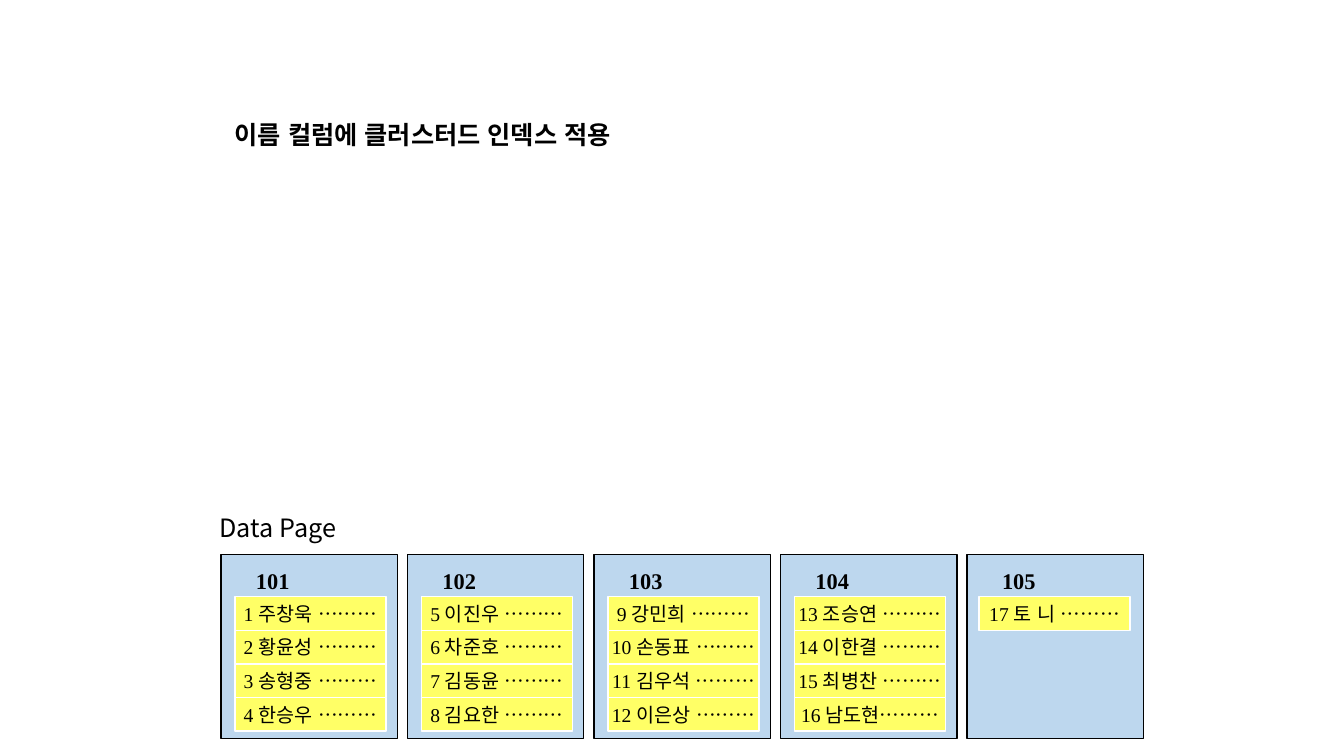
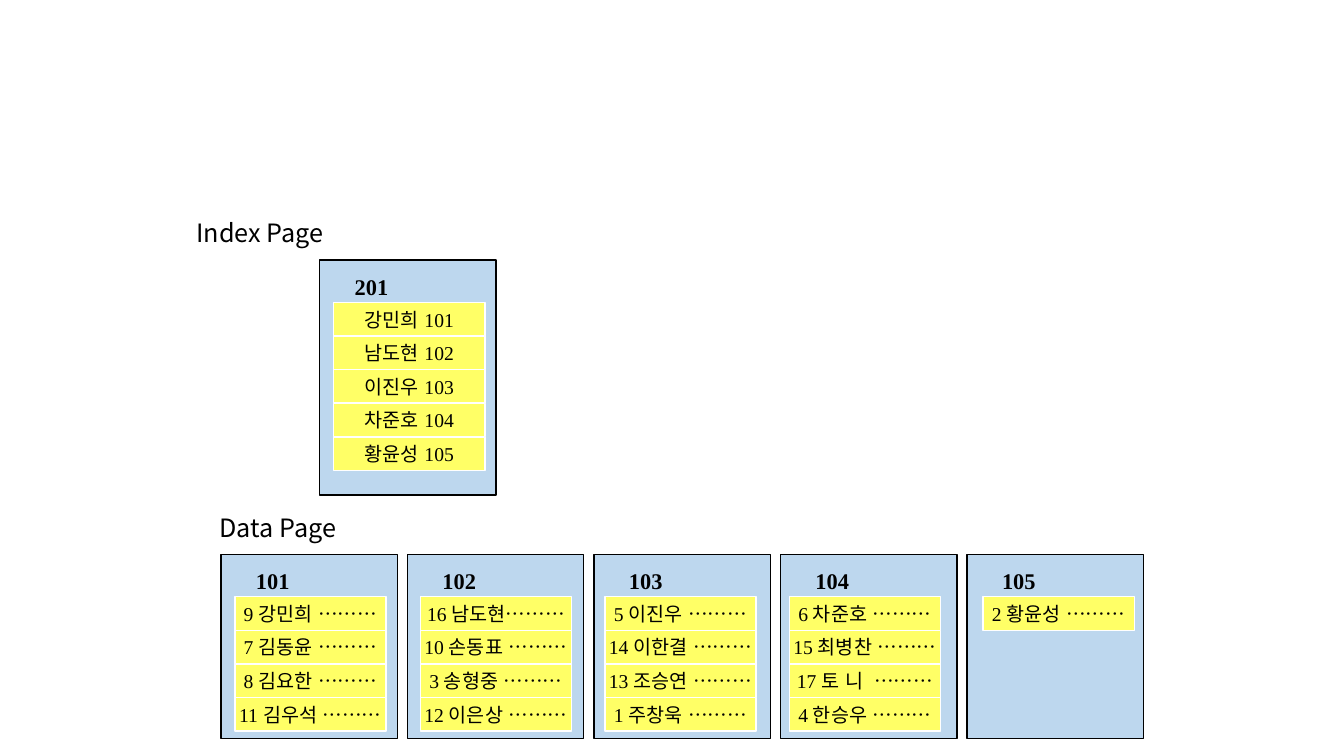
from pptx import Presentation
from pptx.dml.color import RGBColor
from pptx.enum.lang import MSO_LANGUAGE_ID as Lang
from pptx.enum.shapes import MSO_SHAPE as Shape
from pptx.enum.text import MSO_ANCHOR as Anchor, MSO_AUTO_SIZE as AutoSize, PP_ALIGN as Align
from pptx.oxml import parse_xml
from pptx.oxml.ns import nsdecls
from pptx.util import Inches, Pt

BLACK = RGBColor(0x00, 0x00, 0x00)
WHITE = RGBColor(0xFF, 0xFF, 0xFF)
PAGE_BLUE = RGBColor(0xBD, 0xD7, 0xEE)
ROW_YELLOW = RGBColor(0xFF, 0xFF, 0x66)

SERIF = "Times New Roman"
SANS = "Noto Sans CJK KR"

# Text formats
TITLE = {"name": SERIF, "size": Pt(18), "bold": True}
CAPTION = {"name": SANS, "size": Pt(18)}
NUMBER = {"name": SERIF, "size": Pt(16), "bold": True}
RECORD = {"name": SERIF, "size": Pt(14)}

# Page layout in inches
PAGE_W, PAGE_H = 1.75, 1.83
PAGE_LEFT, PAGE_TOP, PAGE_STEP = 2.19, 5.5, 1.85
ROW_W, ROW_H = 1.5, 1 / 3
ROW_INSET, ROW_OFFSET = 0.14, 0.42

DOTS = "………"

# Rows of each data page, and the left edge of its rows
UNSORTED = [
    (2.33, ["1 주창욱 ", "2 황윤성 ", "3 송형중 ", "4 한승우 "]),
    (4.18, ["5 이진우 ", "6 차준호 ", "7 김동윤 ", "8 김요한 "]),
    (6.03, ["9 강민희 ", "10 손동표 ", "11 김우석 ", "12 이은상 "]),
    (7.88, ["13 조승연 ", "14 이한결 ", "15 최병찬 ", "16 남도현"]),
    (9.71, ["17 토 니 "]),
]
SORTED = [
    (2.33, ["9 강민희 ", "7 김동윤 ", "8 김요한 ", "11 김우석 "]),
    (4.17, ["16 남도현", "10 손동표 ", "3 송형중 ", "12 이은상 "]),
    (6.0, ["5 이진우 ", "14 이한결 ", "13 조승연 ", "1 주창욱 "]),
    (7.83, ["6 차준호 ", "15 최병찬 ", "17 토 니  ", "4 한승우 "]),
    (9.75, ["2 황윤성 "]),
]
INDEX_NAMES = ["강민희", "남도현", "이진우", "차준호", "황윤성"]


def write(tf, text, style):
    p = tf.paragraphs[0]
    r = p.add_run()
    r.text = text
    for key, value in style.items():
        setattr(r.font, key, value)
    r.font.color.rgb = BLACK
    r.font.language_id = Lang.KOREAN
    # East Asian typeface for the Hangul
    latin = r.font._element.find("{*}latin")
    latin.addnext(parse_xml(f'<a:ea {nsdecls("a")} typeface="{SANS}"/>'))
    return p


def add_text(s, x, y, w, h, text, style, wrap=False):
    box = s.shapes.add_textbox(Inches(x), Inches(y), Inches(w), Inches(h))
    tf = box.text_frame
    tf.word_wrap = wrap
    tf.auto_size = AutoSize.SHAPE_TO_FIT_TEXT
    write(tf, text, style)


def add_box(s, x, y, w, h, fill, line):
    sp = s.shapes.add_shape(Shape.RECTANGLE, Inches(x), Inches(y), Inches(w), Inches(h))
    sp.shadow.inherit = False
    sp.fill.solid()
    sp.fill.fore_color.rgb = fill
    sp.line.color.rgb = line
    sp.line.width = Pt(1)
    return sp


def add_row(s, x, y, text):
    tf = add_box(s, x, y, ROW_W, ROW_H, ROW_YELLOW, WHITE).text_frame
    tf.word_wrap = False
    tf.vertical_anchor = Anchor.MIDDLE
    write(tf, text, RECORD).alignment = Align.CENTER


def add_page(s, x, y, h, number, rows, row_left):
    add_box(s, x, y, PAGE_W, h, PAGE_BLUE, BLACK)
    add_text(s, x + 0.25, y + 0.08, 0.53, 0.37, str(number), NUMBER)
    for i, text in enumerate(rows):
        add_row(s, row_left, y + ROW_OFFSET + i * ROW_H, text)


def add_caption(s, x, y, text):
    add_text(s, x, y, 2.01, 0.4, text, CAPTION, wrap=True)


def add_data_pages(s, pages):
    add_caption(s, 2.08, 5.03, "Data Page")
    for i, (row_left, names) in enumerate(pages):
        add_page(s, PAGE_LEFT + i * PAGE_STEP, PAGE_TOP, PAGE_H, 101 + i,
                 [name + DOTS for name in names], row_left)


def main():
    prs = Presentation()
    prs.slide_width, prs.slide_height = Inches(13.33), Inches(7.5)
    blank = prs.slide_layouts[6]

    # Data pages before the clustered index
    s = prs.slides.add_slide(blank)
    add_text(s, 2.23, 1.13, 4.2, 0.4, "이름 컬럼에 클러스터드 인덱스 적용", TITLE)
    add_data_pages(s, UNSORTED)

    # Data pages sorted by name, with the index page
    s = prs.slides.add_slide(blank)
    add_caption(s, 1.85, 2.11, "Index Page")
    entries = [f"{name} {101 + i}" for i, name in enumerate(INDEX_NAMES)]
    add_page(s, 3.17, 2.58, 2.33, 201, entries, 3.17 + ROW_INSET)
    add_data_pages(s, SORTED)

    prs.save("out.pptx")


main()
